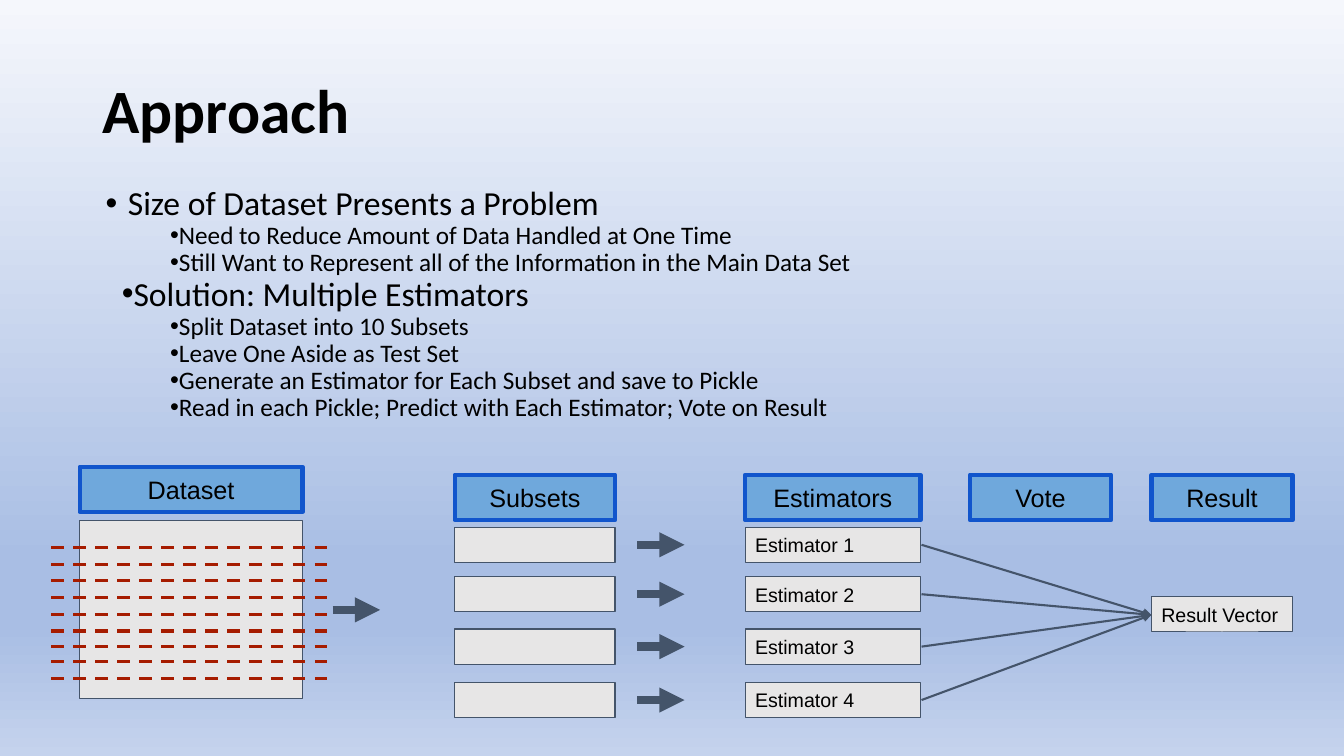
from lxml import etree
from pptx import Presentation
from pptx.dml.color import RGBColor
from pptx.enum.dml import MSO_LINE
from pptx.enum.shapes import MSO_CONNECTOR, MSO_SHAPE
from pptx.enum.text import MSO_ANCHOR, PP_ALIGN
from pptx.oxml.ns import qn
from pptx.util import Inches, Pt

RECT = MSO_SHAPE.RECTANGLE
STRAIGHT = MSO_CONNECTOR.STRAIGHT
DASH = MSO_LINE.DASH
MIDDLE = MSO_ANCHOR.MIDDLE
LEFT, CENTER = PP_ALIGN.LEFT, PP_ALIGN.CENTER

COLORS = {
    "text": "000000", "box": "E7E6E6", "slate": "44546A",
    "head": "6FA8DC", "edge": "1155CC", "cut": "A61C00",
}
STOPS = [(0, "F5F7FC"), (74, "A9BEE4"), (83, "A9BEE4"), (100, "C5D3ED")]

prs = Presentation()
prs.slide_width, prs.slide_height = Inches(13.33), Inches(7.5)
slide = prs.slides.add_slide(prs.slide_layouts[6])
shapes = slide.shapes


def add_box(left, top, width, height, text="", head=False):
    """Add a box: a blue centred header if head is set, else a grey cell."""
    box = shapes.add_shape(RECT, Inches(left), Inches(top), Inches(width), Inches(height))
    box.shadow.inherit = False
    box.fill.solid()
    box.fill.fore_color.rgb = RGBColor.from_string(COLORS["head" if head else "box"])
    box.line.color.rgb = RGBColor.from_string(COLORS["edge" if head else "slate"])
    box.line.width = Pt(3 if head else 0.75)
    if text:
        frame = box.text_frame
        frame.word_wrap = True
        frame.vertical_anchor = MIDDLE
        frame.margin_left = frame.margin_right = Inches(0.1)
        frame.margin_top = frame.margin_bottom = Inches(0.1)
        para = frame.paragraphs[0]
        para.alignment = CENTER if head else LEFT
        run = para.add_run()
        run.text = text
        run.font.name = "Arial"
        run.font.size = Pt(18 if head else 14)
        run.font.color.rgb = RGBColor.from_string(COLORS["text"])


def add_line(x1, y1, x2, y2, color, width, arrow=True):
    line = shapes.add_connector(STRAIGHT, Inches(x1), Inches(y1), Inches(x2), Inches(y2))
    line.line.color.rgb = RGBColor.from_string(COLORS[color])
    line.line.width = Pt(width)
    if arrow:
        etree.SubElement(line.line._get_or_add_ln(), qn("a:tailEnd"), type="triangle")
    else:
        line.line.dash_style = DASH
    etree.SubElement(line._element.spPr, qn("a:effectLst"))


# Background
fill = slide.background.fill
fill.gradient()
fill.gradient_angle = 270
stops = slide.element.find(".//" + qn("a:gsLst"))
for old in list(stops):
    stops.remove(old)
for pos, color in STOPS:
    stop = etree.SubElement(stops, qn("a:gs"), pos=str(pos * 1000))
    etree.SubElement(stop, qn("a:srgbClr"), val=color)

# Title
frame = shapes.add_textbox(Inches(0.92), Inches(0.4), Inches(11.5), Inches(1.45)).text_frame
frame.word_wrap = True
frame.vertical_anchor = MIDDLE
para = frame.paragraphs[0]
para.line_spacing = 0.9
run = para.add_run()
run.text = "Approach"
run.font.name, run.font.size, run.font.bold = "Calibri", Pt(44), True
run.font.color.rgb = RGBColor.from_string(COLORS["text"])

# Bullets: level, hanging indent, text
points = [
    (0, 0.22, "Size of Dataset Presents a Problem"),
    (1, 0.08, "Need to Reduce Amount of Data Handled at One Time"),
    (1, 0.08, "Still Want to Represent all of the Information in the Main Data Set"),
    (0, 0.06, "Solution: Multiple Estimators"),
    (1, 0.08, "Split Dataset into 10 Subsets"),
    (1, 0.08, "Leave One Aside as Test Set"),
    (1, 0.08, "Generate an Estimator for Each Subset and save to Pickle"),
    (1, 0.08, "Read in each Pickle; Predict with Each Estimator; Vote on Result"),
]
frame = shapes.add_textbox(Inches(0.92), Inches(1.8), Inches(11.5), Inches(2.76)).text_frame
frame.word_wrap = True
for i, (level, hang, text) in enumerate(points):
    para = frame.add_paragraph() if i else frame.paragraphs[0]
    para.level = level
    para.line_spacing = 0.9
    props = para._p.get_or_add_pPr()
    props.set("marL", str(Inches(0.25 + 0.5 * level)))
    props.set("indent", str(-Inches(hang)))
    tint = etree.SubElement(props, qn("a:buClr"))
    etree.SubElement(tint, qn("a:srgbClr"), val=COLORS["text"])
    etree.SubElement(props, qn("a:buFont"), typeface="Arial")
    etree.SubElement(props, qn("a:buChar"), char="•")
    run = para.add_run()
    run.text = text
    run.font.name, run.font.size = "Calibri", Pt(18 if level else 24)
    run.font.color.rgb = RGBColor.from_string(COLORS["text"])

# Dataset with its cuts
add_box(0.79, 5.16, 2.21, 1.77)
add_box(0.79, 4.63, 2.21, 0.45, "Dataset", head=True)
for y in (5.43, 5.6, 5.76, 5.93, 6.1, 6.26, 6.41, 6.56, 6.73):
    add_line(0.51, y, 3.29, y, "cut", 2.25, arrow=False)
add_line(3.3, 6.05, 3.77, 6.05, "slate", 6)

# Column headers
for name, left, width in (("Subsets", 4.51, 1.59), ("Estimators", 7.39, 1.74),
                          ("Vote", 9.62, 1.4), ("Result", 11.42, 1.4)):
    add_box(left, 4.71, width, 0.45, name, head=True)

# One row per subset, each voting on the result
add_box(11.42, 5.92, 1.4, 0.35, "Result Vector")
for i, top in enumerate((5.23, 5.72, 6.24, 6.77)):
    mid = top + 0.175
    add_box(4.51, top, 1.59, 0.35)
    add_line(6.32, mid, 6.79, mid, "slate", 6)
    add_box(7.39, top, 1.74, 0.35, f"Estimator {i + 1}")
    add_line(9.14, mid, 11.42, 6.1, "slate", 1.5)

prs.save("out.pptx")
